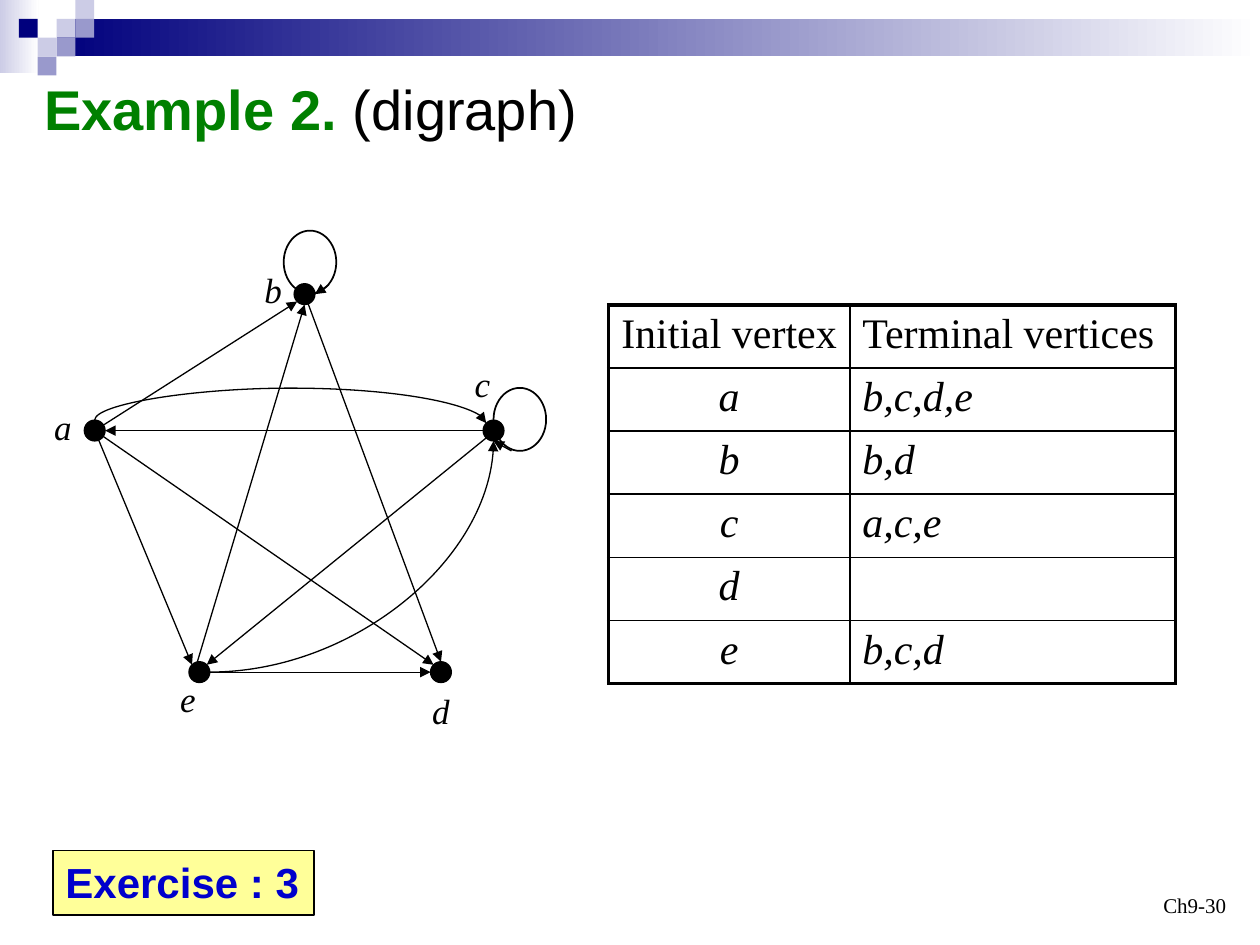
from dataclasses import dataclass
from math import hypot

from lxml import etree
from pptx import Presentation
from pptx.dml.color import RGBColor
from pptx.enum.shapes import MSO_CONNECTOR, MSO_SHAPE
from pptx.enum.text import MSO_ANCHOR, MSO_AUTO_SIZE, PP_ALIGN
from pptx.oxml.ns import qn
from pptx.util import Cm, Pt

RECT, OVAL = MSO_SHAPE.RECTANGLE, MSO_SHAPE.OVAL
STRAIGHT, CURVE = MSO_CONNECTOR.STRAIGHT, MSO_CONNECTOR.CURVE
LEFT, CENTER, RIGHT = PP_ALIGN.LEFT, PP_ALIGN.CENTER, PP_ALIGN.RIGHT
TOP, BOTTOM = MSO_ANCHOR.TOP, MSO_ANCHOR.BOTTOM

SANS, SERIF = "Arial", "Times New Roman"
BLACK, WHITE, NAVY = "000000", "FFFFFF", "00007D"
LILAC, VIOLET = "CCCCE6", "9999CC"
RADIUS = 0.21  # of a vertex dot, cm
STEP = 0.38    # of the corner mosaic, cm

MID, N, E, S, W = (0, 0), (0, -1), (1, 0), (0, 1), (-1, 0)
NE, NW, SW = (1, -1), (-1, -1), (-1, 1)


@dataclass
class Vertex:
    x: float
    y: float
    label_x: float
    label_y: float

    def site(self, direction: tuple) -> tuple:
        """Point on the rim in a compass direction, or the centre."""
        dx, dy = direction
        reach = RADIUS / (hypot(dx, dy) or 1)
        return self.x + dx * reach, self.y + dy * reach


@dataclass
class Edge:
    start: str
    leaves: tuple
    end: str
    enters: tuple


@dataclass
class Loop:
    left: float
    top: float
    arrow_from: tuple
    vertex: str
    enters: tuple


VERTICES = {
    "a": Vertex(1.91, 8.68, 0.84, 8.05),
    "b": Vertex(6.14, 5.93, 5.08, 5.28),
    "c": Vertex(9.95, 8.68, 9.32, 7.19),
    "d": Vertex(8.89, 13.55, 8.46, 13.77),
    "e": Vertex(4.02, 13.55, 3.38, 13.54),
}
EDGES = [
    Edge("a", MID, "b", SW), Edge("a", MID, "e", NW), Edge("e", E, "d", W),
    Edge("a", MID, "d", NW), Edge("e", SW, "b", S), Edge("b", MID, "d", N),
    Edge("c", SW, "e", NE), Edge("c", W, "a", E),
]
LOOPS = [Loop(5.72, 4.65, (6.63, 5.74), "b", E),
         Loop(9.95, 7.82, (10.31, 9.09), "c", S)]
ADJACENCY = [("Initial vertex", "Terminal vertices"), ("a", "b,c,d,e"),
             ("b", "b,d"), ("c", "a,c,e"), ("d", ""), ("e", "b,c,d")]
MOSAIC = [(3, 1, LILAC), (4, 0, LILAC), (4, 1, VIOLET), (2, 2, LILAC),
          (1, 1, NAVY), (3, 2, VIOLET), (2, 3, VIOLET)]


def color(value: str) -> RGBColor:
    return RGBColor.from_string(value)


def add_run(paragraph, text: str, size: float, font: str, ink: str = BLACK,
            bold: bool = False, italic: bool = False) -> None:
    run = paragraph.add_run()
    run.text = text
    run.font.size, run.font.name = Pt(size), font
    run.font.bold, run.font.italic = bold, italic
    run.font.color.rgb = color(ink)


def add_figure(slide, kind, left: float, top: float, width: float, height: float,
               fill: str | None = None, line: float = 0):
    figure = slide.shapes.add_shape(kind, Cm(left), Cm(top), Cm(width), Cm(height))
    figure.shadow.inherit = False
    if fill:
        figure.fill.solid()
        figure.fill.fore_color.rgb = color(fill)
    else:
        figure.fill.background()
    if line:
        figure.line.color.rgb = color(BLACK)
        figure.line.width = Pt(line)
    else:
        figure.line.fill.background()
    return figure


def add_gradient(slide, left: float, top: float, width: float, height: float,
                 start: str) -> None:
    fill = add_figure(slide, RECT, left, top, width, height).fill
    fill.gradient()
    fill.gradient_angle = 0
    for stop, value in zip(fill.gradient_stops, (start, WHITE)):
        stop.color.rgb = color(value)


def add_arrow(slide, start: tuple, end: tuple, kind=STRAIGHT):
    arrow = slide.shapes.add_connector(kind, *(Cm(v) for v in (*start, *end)))
    arrow.line.color.rgb = color(BLACK)
    arrow.line.width = Pt(0.75)
    properties = arrow.element.spPr
    etree.SubElement(properties.find(qn("a:ln")), qn("a:tailEnd"), type="triangle")
    etree.SubElement(properties, qn("a:effectLst"))
    return arrow


def add_quarter_arrow(slide, start: tuple, end: tuple) -> None:
    arrow = add_arrow(slide, start, end, CURVE)
    arrow.element.spPr.find(qn("a:prstGeom")).set("prst", "curvedConnector2")


def add_arched_arrow(slide, start: tuple, end: tuple, rise: float) -> None:
    """Curve that climbs above its start; the connector lies on its side."""
    arrow = add_arrow(slide, start, end, CURVE)
    drop, span = end[1] - start[1], end[0] - start[0]
    arrow.left = Cm((start[0] + end[0] - drop) / 2)
    arrow.top = Cm((start[1] + end[1] - span) / 2)
    arrow.width, arrow.height = Cm(drop), Cm(span)
    frame = arrow.element.spPr.find(qn("a:xfrm"))
    frame.set("rot", str(270 * 60000))
    frame.set("flipH", "1")
    guides = arrow.element.spPr.find(qn("a:prstGeom")).find(qn("a:avLst"))
    etree.SubElement(guides, qn("a:gd"), name="adj1",
                     fmla=f"val {round(-rise / drop * 100000)}")


def add_text(slide, left: float, top: float, width: float, height: float, text: str,
             size: float, italic: bool = False, align=LEFT, anchor=TOP) -> None:
    frame = slide.shapes.add_textbox(Cm(left), Cm(top), Cm(width), Cm(height)).text_frame
    frame.word_wrap = align == RIGHT
    frame.vertical_anchor = anchor
    frame.paragraphs[0].alignment = align
    add_run(frame.paragraphs[0], text, size, SERIF, italic=italic)


def set_border(cell, side: str, width: float) -> None:
    line = etree.SubElement(cell._tc.get_or_add_tcPr(), qn(f"a:ln{side}"),
                            w=str(Pt(width)))
    fill = etree.SubElement(line, qn("a:solidFill"))
    etree.SubElement(fill, qn("a:srgbClr"), val=BLACK)


def add_adjacency_table(slide) -> None:
    last = len(ADJACENCY) - 1
    table = slide.shapes.add_table(last + 1, 2, Cm(12.27), Cm(6.15),
                                   Cm(11.43), Cm(7.62)).table
    table.first_row = table.horz_banding = False
    for column, width in zip(table.columns, (4.86, 6.57)):
        column.width = Cm(width)
    for r, texts in enumerate(ADJACENCY):
        for c, text in enumerate(texts):
            cell = table.cell(r, c)
            outer = {"L": c == 0, "R": c == 1, "T": r == 0, "B": r == last}
            for side, thick in outer.items():
                set_border(cell, side, 2.25 if thick else 1)
            cell.fill.background()
            paragraph = cell.text_frame.paragraphs[0]
            paragraph.alignment = CENTER if r and c == 0 else LEFT
            if text:
                add_run(paragraph, text, 24, SERIF, italic=r > 0)


def main() -> None:
    deck = Presentation()
    deck.slide_width, deck.slide_height = Cm(25.4), Cm(19.05)
    slide = deck.slides.add_slide(deck.slide_layouts[5])

    # Corner mosaic and header band
    add_gradient(slide, 0, 0, 0.78, 1.48, LILAC)
    add_gradient(slide, 3 * STEP, STEP, 25.4 - 3 * STEP, 2 * STEP, NAVY)
    for column, row, fill in MOSAIC:
        add_figure(slide, RECT, column * STEP, row * STEP, STEP, STEP, fill)

    # Title
    title = slide.shapes.title
    title.left, title.top, title.width, title.height = Cm(0.64), Cm(1.27), Cm(12.7), Cm(2.11)
    heading = title.text_frame
    heading.auto_size, heading.vertical_anchor = MSO_AUTO_SIZE.NONE, TOP
    heading.margin_top = Cm(0.23)
    heading.paragraphs[0].alignment = LEFT
    add_run(heading.paragraphs[0], "Example 2.", 32, SANS, "008000", bold=True)
    add_run(heading.paragraphs[0], " (digraph)", 32, SANS)

    # Digraph
    for edge in EDGES:
        add_arrow(slide, VERTICES[edge.start].site(edge.leaves),
                  VERTICES[edge.end].site(edge.enters))
    add_arched_arrow(slide, VERTICES["a"].site(N), VERTICES["c"].site(NW), 0.64)
    add_quarter_arrow(slide, VERTICES["e"].site(E), VERTICES["c"].site(S))
    for loop in LOOPS:
        add_figure(slide, OVAL, loop.left, loop.top, 1.06, 1.27, line=1)
        add_arrow(slide, loop.arrow_from, VERTICES[loop.vertex].site(loop.enters))
    for name, vertex in VERTICES.items():
        add_figure(slide, OVAL, *vertex.site(MID), 2 * RADIUS, 2 * RADIUS, BLACK, 0.75)
        dot = slide.shapes[-1]
        dot.left, dot.top = Cm(vertex.x - RADIUS), Cm(vertex.y - RADIUS)
        add_text(slide, vertex.label_x, vertex.label_y, 0.86, 1.09, name, 20, italic=True)

    add_adjacency_table(slide)

    # Exercise box and page number
    exercise = add_figure(slide, RECT, 1.07, 17.15, 5.26, 1.3, "FFFF99", 0.75).text_frame
    exercise.word_wrap, exercise.vertical_anchor = False, TOP
    exercise.paragraphs[0].alignment = LEFT
    add_run(exercise.paragraphs[0], "Exercise : 3", 24, SANS, "0000CC", bold=True)
    add_text(slide, 19.05, 17.35, 5.92, 1.27, "Ch9-30", 12, align=RIGHT, anchor=BOTTOM)

    deck.save("out.pptx")


if __name__ == "__main__":
    main()
